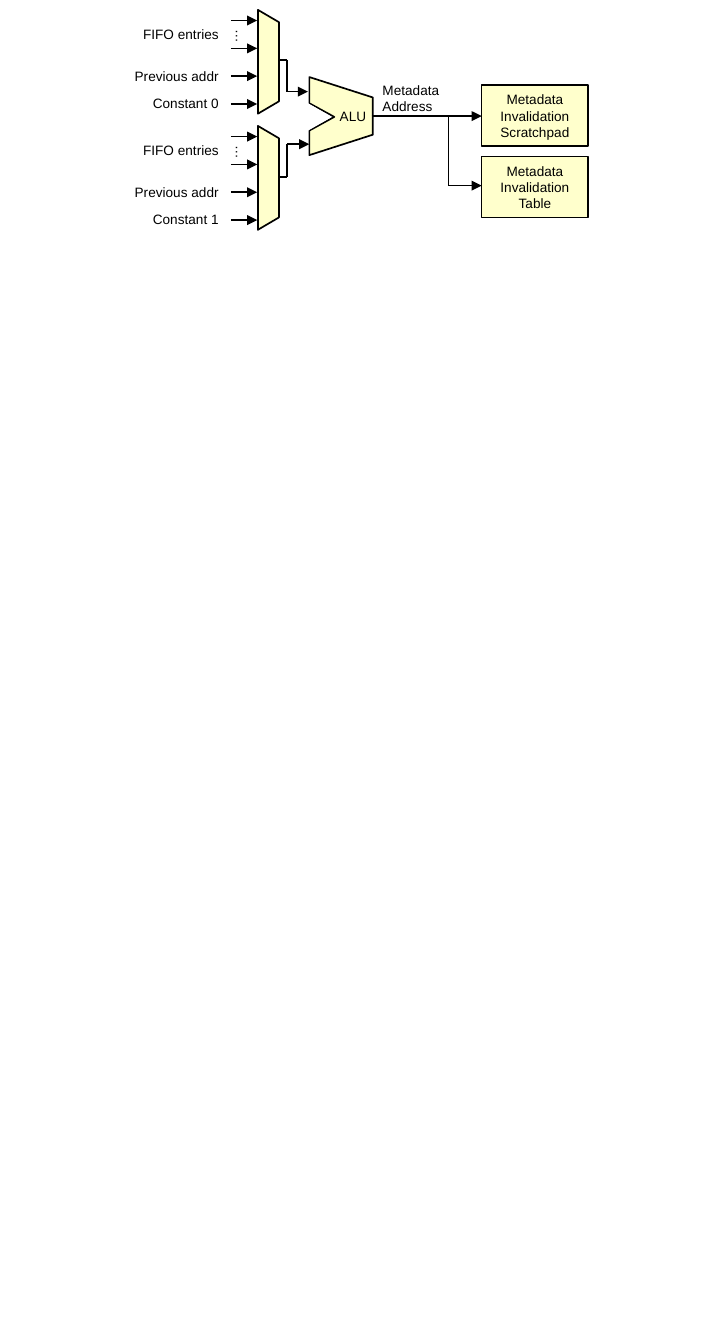
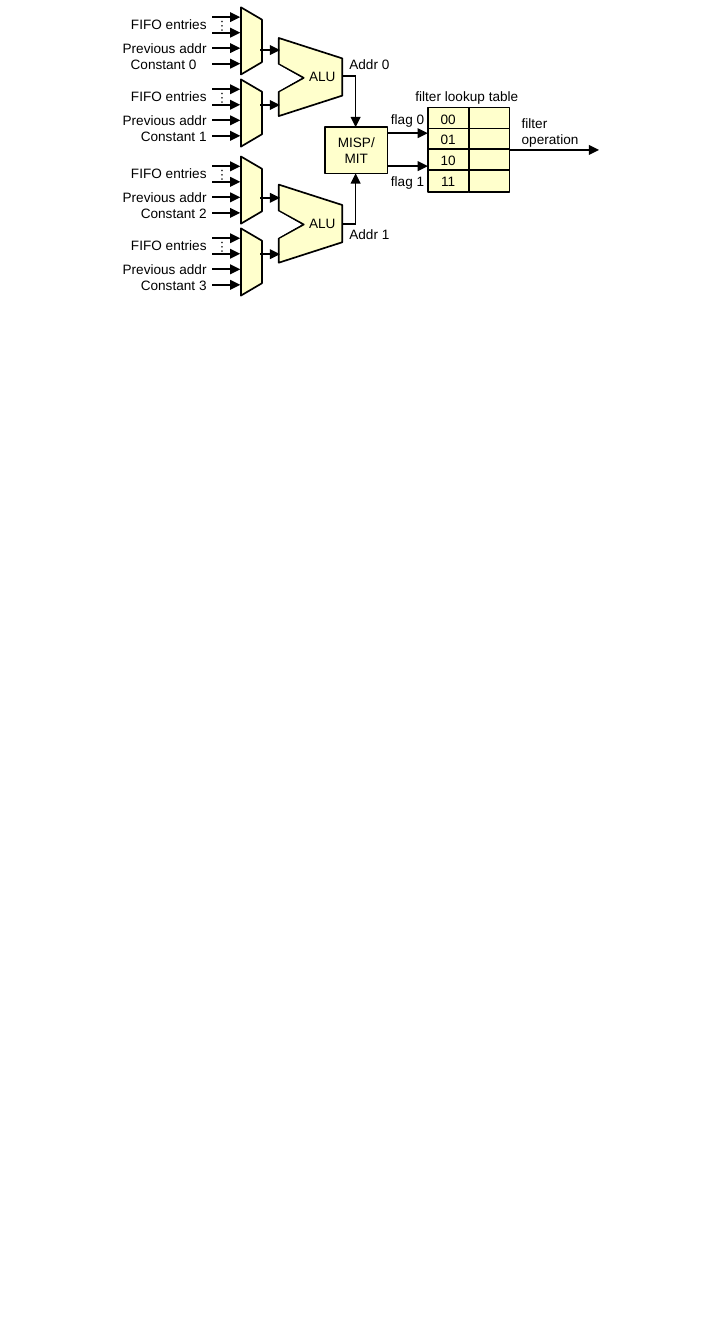
from itertools import pairwise

from lxml.etree import SubElement
from pptx import Presentation
from pptx.dml.color import RGBColor
from pptx.enum.shapes import MSO_CONNECTOR, MSO_SHAPE
from pptx.enum.text import MSO_ANCHOR, MSO_AUTO_SIZE, PP_ALIGN
from pptx.oxml.ns import qn
from pptx.util import Pt

BLACK = RGBColor(0, 0, 0)
WHITE = RGBColor(255, 255, 255)
CREAM = RGBColor(255, 255, 204)
FONT = "Arial"
FONT_SIZE = 8
LABEL_HEIGHT = 17.3
INPUT_LABEL_WIDTH = 65.2

TALL_MUX = {
    "left": 151.9, "height": 61.2, "arrow_start": 136, "first_arrow": 6.3,
    "arrow_step": 16.4, "label_right": 136, "label_tops": (5.8, 30.6, 46.8),
    "dots": (141.8, 14.8),
}
SHORT_MUX = {
    "left": 141.9, "height": 39.6, "arrow_start": 125, "first_arrow": 5.8,
    "arrow_step": 9.15, "label_right": 128.9, "label_tops": (1.4, 15.5, 25.2),
    "dots": (133.2, 10.1),
}

SLIDES = [
    {
        "mux": TALL_MUX,
        "inputs": [(5.8, "Constant 0", 0), (74.2, "Constant 1", 0)],
        "alus": [(200.9, 68.4)],
        "routes": [
            [(164.2, 35.3), (169.2, 35.3), (169.2, 54), (181.4, 54)],
            [(164.9, 104.4), (169.2, 104.4), (169.2, 85), (182.2, 85)],
            [(218.9, 68.4), (283.7, 68.4)],
            [(264.2, 68.4), (264.2, 109.4), (283.7, 109.4)],
        ],
        "boxes": [
            (283.7, 50.2, 62.8, 36, ["Metadata Invalidation Scratchpad"]),
            (283.7, 92.2, 62.8, 36, ["Metadata Invalidation Table"]),
        ],
        "labels": [(218.2, 44.6, 69.1, 26.6, "Metadata Address")],
    },
    {
        "mux": SHORT_MUX,
        "inputs": [(4.3, "Constant 0", -6), (46.8, "Constant 1", 0),
                   (92.2, "Constant 2", 0), (134.6, "Constant 3", 0)],
        "alus": [(182.9, 45.4), (182.9, 131.8)],
        "routes": [[(153.4, y), (164.9, y)] for y in (29.5, 61.9, 116.6, 149.8)] + [
            [(201.6, 44.6), (209.5, 44.6), (209.5, 74.9)],
            [(201.6, 132), (209.5, 132), (209.5, 102.2)],
            [(228.2, 78.5), (252, 78.5)],
            [(228.2, 97.9), (252, 97.9)],
            [(300.2, 88.4), (352.8, 88.4)],
        ],
        "boxes": [(191.5, 74.9, 36.7, 27.4, ["MISP/", "MIT"])],
        "labels": [
            (198.7, 29.5, 40.3, LABEL_HEIGHT, "Addr 0"),
            (198.7, 129.6, 43.2, LABEL_HEIGHT, "Addr 1"),
            (223.2, 61.9, 34.6, LABEL_HEIGHT, "flag 0"),
            (223.2, 98.6, 34.6, LABEL_HEIGHT, "flag 1"),
            (237.6, 48.2, 76.3, LABEL_HEIGHT, "filter lookup table"),
            (300.2, 64.1, 48.2, 26.6, "filter operation"),
        ],
    },
]
LOOKUP_ROWS = ["00", "01", "10", "11"]
LOOKUP_LEFT, LOOKUP_TOP = 252, 63.4
LOOKUP_CELL_WIDTH, LOOKUP_CELL_HEIGHT, LOOKUP_STEP = 24.1, 13, 12.3


def add_text(paragraph, text, alignment):
    paragraph.alignment = alignment
    run = paragraph.add_run()
    run.text = text
    run.font.name = FONT
    run.font.size = Pt(FONT_SIZE)
    run.font.color.rgb = BLACK


def add_label(shapes, left, top, width, height, text, alignment=PP_ALIGN.LEFT):
    label = shapes.add_textbox(Pt(left), Pt(top), Pt(width), Pt(height))
    label.text_frame.word_wrap = True
    label.text_frame.auto_size = MSO_AUTO_SIZE.SHAPE_TO_FIT_TEXT
    add_text(label.text_frame.paragraphs[0], text, alignment)
    return label


def add_outline(shapes, kind, left, top, width, height, fill=CREAM, line=BLACK):
    shape = shapes.add_shape(kind, Pt(left), Pt(top), Pt(width), Pt(height))
    shape.shadow.inherit = False
    shape.fill.solid()
    shape.fill.fore_color.rgb = fill
    shape.line.color.rgb = line
    shape.line.width = Pt(1)
    return shape


def add_turned(shapes, kind, center_x, center_y, width, height, fill=CREAM, line=BLACK):
    shape = add_outline(shapes, kind, center_x - height / 2, center_y - width / 2,
                        height, width, fill, line)
    shape.rotation = 90
    return shape


def add_box(shapes, left, top, width, height, lines):
    box = add_outline(shapes, MSO_SHAPE.RECTANGLE, left, top, width, height)
    frame = box.text_frame
    frame.word_wrap = True
    frame.vertical_anchor = MSO_ANCHOR.MIDDLE
    frame.margin_left = frame.margin_right = Pt(2)
    frame.margin_top = frame.margin_bottom = 0
    for index, text in enumerate(lines):
        paragraph = frame.add_paragraph() if index else frame.paragraphs[0]
        add_text(paragraph, text, PP_ALIGN.CENTER)


def add_line(shapes, start, end, arrow):
    connector = shapes.add_connector(
        MSO_CONNECTOR.STRAIGHT, *(Pt(value) for value in (*start, *end)))
    connector.line.color.rgb = BLACK
    connector.line.width = Pt(1)
    if arrow:
        SubElement(connector.line._get_or_add_ln(), qn("a:tailEnd"), type="triangle")
    SubElement(connector._element.spPr, qn("a:effectLst"))


def add_route(shapes, points):
    for start, end in pairwise(points):
        add_line(shapes, start, end, arrow=end == points[-1])


def add_mux(slide, mux, top, constant, constant_shift):
    shapes = slide.shapes.add_group_shape().shapes
    dots_x, dots_y = mux["dots"]
    dots = add_label(shapes, dots_x - 10.1, top + dots_y - LABEL_HEIGHT / 2,
                     20.2, LABEL_HEIGHT, "…", PP_ALIGN.CENTER)
    dots.rotation = 90
    width = 12.4
    body = add_turned(shapes, MSO_SHAPE.TRAPEZOID, mux["left"] + width / 2,
                      top + mux["height"] / 2, width, mux["height"])
    body.adjustments[0] = 0.586
    for index in range(4):
        y = top + mux["first_arrow"] + index * mux["arrow_step"]
        add_line(shapes, (mux["arrow_start"], y), (mux["left"] - 0.4, y), arrow=True)
    names = [("FIFO entries", 0), ("Previous addr", 0), (constant, constant_shift)]
    for (name, shift), offset in zip(names, mux["label_tops"]):
        add_label(shapes, mux["label_right"] - INPUT_LABEL_WIDTH + shift, top + offset,
                  INPUT_LABEL_WIDTH, LABEL_HEIGHT, name, PP_ALIGN.RIGHT)


def add_alu(slide, x, y):
    shapes = slide.shapes.add_group_shape().shapes
    body = add_turned(shapes, MSO_SHAPE.TRAPEZOID, x, y, 37.4, 46)
    body.adjustments[0] = 0.322
    notch = MSO_SHAPE.ISOSCELES_TRIANGLE
    add_turned(shapes, notch, x - 11.2, y + 0.5, 14.4, 15.8, WHITE)
    add_turned(shapes, notch, x - 13.3, y + 0.5, 13.7, 15.8, WHITE, WHITE)
    add_label(shapes, x - 7.9, y - 8.6, 31.7, LABEL_HEIGHT, "ALU")


def add_lookup_table(shapes):
    for row, value in enumerate(LOOKUP_ROWS):
        for column, lines in enumerate(([value], [])):
            add_box(shapes, LOOKUP_LEFT + column * LOOKUP_CELL_WIDTH,
                    LOOKUP_TOP + row * LOOKUP_STEP,
                    LOOKUP_CELL_WIDTH, LOOKUP_CELL_HEIGHT, lines)


def add_diagram(presentation, content):
    slide = presentation.slides.add_slide(presentation.slide_layouts[6])
    for top, constant, shift in content["inputs"]:
        add_mux(slide, content["mux"], top, constant, shift)
    for center in content["alus"]:
        add_alu(slide, *center)
    for points in content["routes"]:
        add_route(slide.shapes, points)
    for box in content["boxes"]:
        add_box(slide.shapes, *box)
    for label in content["labels"]:
        add_label(slide.shapes, *label)
    return slide


presentation = Presentation()
presentation.slide_width = Pt(417.6)
presentation.slide_height = Pt(792)
diagrams = [add_diagram(presentation, content) for content in SLIDES]
add_lookup_table(diagrams[1].shapes)
presentation.save("out.pptx")
